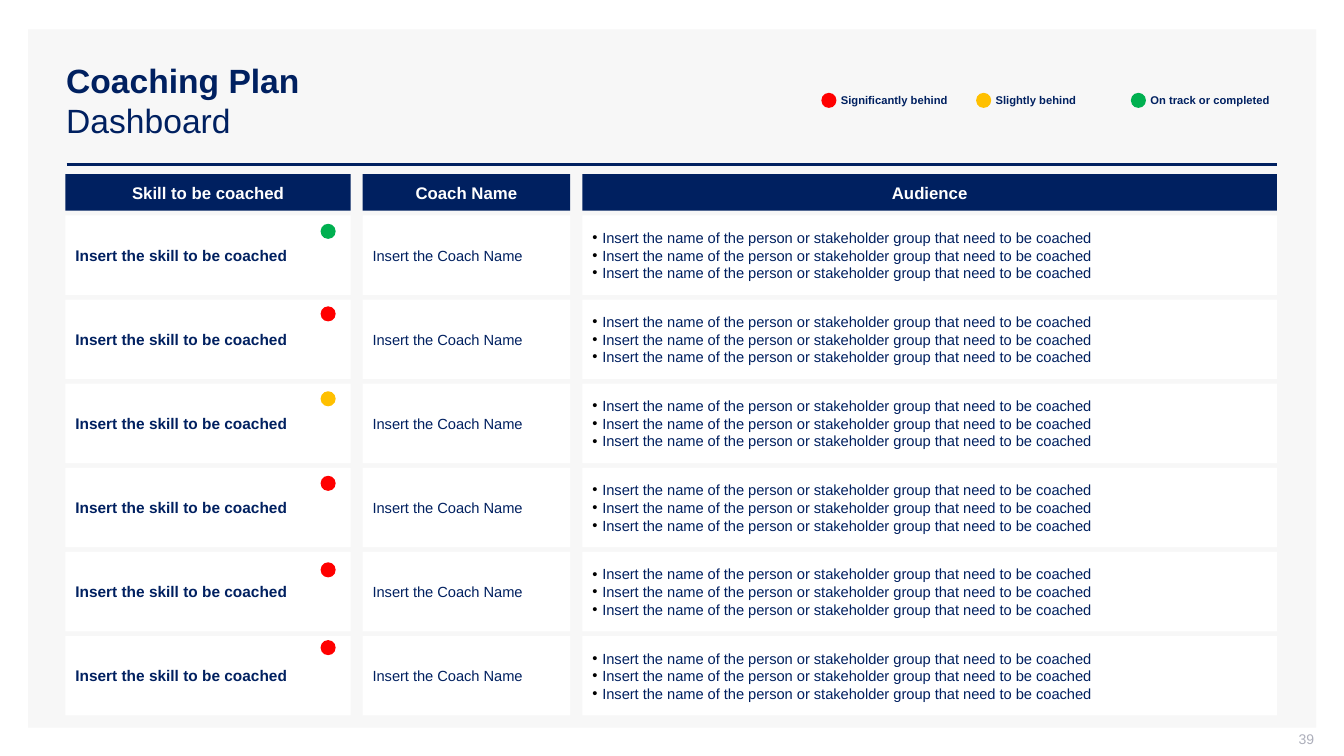
from lxml import etree
from pptx import Presentation
from pptx import util as u
from pptx.dml.color import RGBColor
from pptx.enum import shapes, text
from pptx.oxml import ns

NAVY = RGBColor(0x00, 0x20, 0x60)
WHITE = RGBColor(0xFF, 0xFF, 0xFF)
PALE = RGBColor(0xF7, 0xF7, 0xF7)
GREY = RGBColor(0xAD, 0xAF, 0xBB)
RED = RGBColor(0xFF, 0x00, 0x00)
AMBER = RGBColor(0xFF, 0xC0, 0x00)
GREEN = RGBColor(0x00, 0xB0, 0x50)

RECT = shapes.MSO_SHAPE.RECTANGLE
OVAL = shapes.MSO_SHAPE.OVAL
LEFT, MID, RIGHT = text.PP_ALIGN.LEFT, text.PP_ALIGN.CENTER, text.PP_ALIGN.RIGHT

DOT = 0.38
TOP, STEP = 5.43, 2.12
PAD = (0.25, 0.13, 0.25, 0.13)
THIN = (0.05, 0.05, 0.05, 0.05)
NONE = (0, 0, 0, 0)
BODY = {"size": u.Pt(10.5), "color": NAVY}
SKILL = {"size": u.Pt(11), "bold": True, "color": NAVY}
HEAD = {"size": u.Pt(12), "bold": True, "color": WHITE}
LABEL = {"size": u.Pt(8), "bold": True, "color": NAVY}
GROUP = "Insert the name of the person or stakeholder group that need to be coached"
COLS = [
    (14.68, 17.5, "Audience", [GROUP] * 3, BODY, True),
    (1.65, 7.19, "Skill to be coached", ["Insert the skill to be coached"], SKILL, False),
    (9.14, 5.23, "Coach Name", ["Insert the Coach Name"], BODY, False),
]
LEGEND = [("Significantly behind", RED), ("Slightly behind", AMBER),
          ("On track or completed", GREEN)]
STATES = [(5.64, GREEN), (7.72, RED), (9.86, AMBER),
          (11.99, RED), (14.17, RED), (16.13, RED)]


def apply(item, vals):
    for key, val in vals.items():
        if key == "color":
            item.color.rgb = val
        else:
            setattr(item, key, val)


def block(slide, kind, spot, fill):
    shape = slide.shapes.add_shape(kind, *map(u.Cm, spot))
    shape.shadow.inherit = False
    shape.fill.solid()
    shape.fill.fore_color.rgb = fill
    shape.line.fill.background()
    return shape


def dot(slide, x, y, fill):
    block(slide, OVAL, (x, y, DOT, DOT), fill)


def frame(shape, pad):
    tf = shape.text_frame
    sides = ("margin_left", "margin_top", "margin_right", "margin_bottom")
    apply(tf, dict(zip(sides, map(u.Cm, pad))))
    apply(tf, {"word_wrap": True, "vertical_anchor": text.MSO_ANCHOR.MIDDLE})
    return tf


def bullet(para):
    props = para._p.get_or_add_pPr()
    props.set("marL", str(u.Cm(0.25)))
    props.set("indent", str(-u.Cm(0.25)))
    hue = etree.SubElement(props, ns.qn("a:buClr"))
    etree.SubElement(hue, ns.qn("a:srgbClr"), val="000000")
    etree.SubElement(props, ns.qn("a:buFont"), typeface="Arial")
    etree.SubElement(props, ns.qn("a:buChar"), char="•")


def write(shape, lines, style, pad, align=LEFT, marks=False):
    tf = frame(shape, pad)
    for num, line in enumerate(lines):
        para = tf.add_paragraph() if num else tf.paragraphs[0]
        para.alignment = align
        if marks:
            bullet(para)
        run = para.add_run()
        run.text = line
        apply(run.font, {"name": "Arial", **style})


def label(slide, spot, line, style, pad, align=LEFT):
    shape = slide.shapes.add_textbox(*map(u.Cm, spot))
    write(shape, [line], style, pad, align)


def title(slide):
    shape = slide.shapes.add_textbox(*map(u.Cm, (1.42, 1.02, 30.76, 3.02)))
    para = frame(shape, PAD).paragraphs[0]
    for line, bold in (("Coaching Plan", True), ("Dashboard", False)):
        if not bold:
            para.add_line_break()
        run = para.add_run()
        run.text = line
        apply(run.font, {"name": "Arial", "size": u.Pt(24), "bold": bold, "color": NAVY})


def rule(slide):
    line = slide.shapes.add_connector(
        shapes.MSO_CONNECTOR.STRAIGHT, *map(u.Cm, (1.68, 4.14, 32.18, 4.14)))
    apply(line.line, {"width": u.Pt(2), "color": NAVY})
    etree.SubElement(line._element.spPr, ns.qn("a:effectLst"))


def column(slide, x, wide, head, lines, style, marks):
    top = block(slide, RECT, (x, 4.39, wide, 0.92), NAVY)
    write(top, [head], HEAD, THIN, MID)
    for row in range(len(STATES)):
        cell = block(slide, RECT, (x, TOP + row * STEP, wide, 2), WHITE)
        write(cell, lines, style, PAD, LEFT, marks)


def legend(slide):
    for num, (name, fill) in enumerate(LEGEND):
        x = 20.7 + num * 3.9
        dot(slide, x, 2.34, fill)
        label(slide, (x + 0.49, 2.03, 3.15, 1), name, LABEL, NONE)


def main():
    deck = Presentation()
    apply(deck, {"slide_width": u.Cm(33.87), "slide_height": u.Cm(19.05)})
    slide = deck.slides.add_slide(deck.slide_layouts[6])
    block(slide, RECT, (0.71, 0.74, 32.46, 17.6), PALE)
    rule(slide)
    title(slide)
    label(slide, (25.5, 18.42, 7.62, 0.53), "39",
          {"size": u.Pt(10), "color": GREY}, (0.25, 0, 0, 0.13), RIGHT)
    for col in COLS:
        column(slide, *col)
    legend(slide)
    for y, fill in STATES:
        dot(slide, 8.08, y, fill)
    deck.save("out.pptx")


if __name__ == "__main__":
    main()
